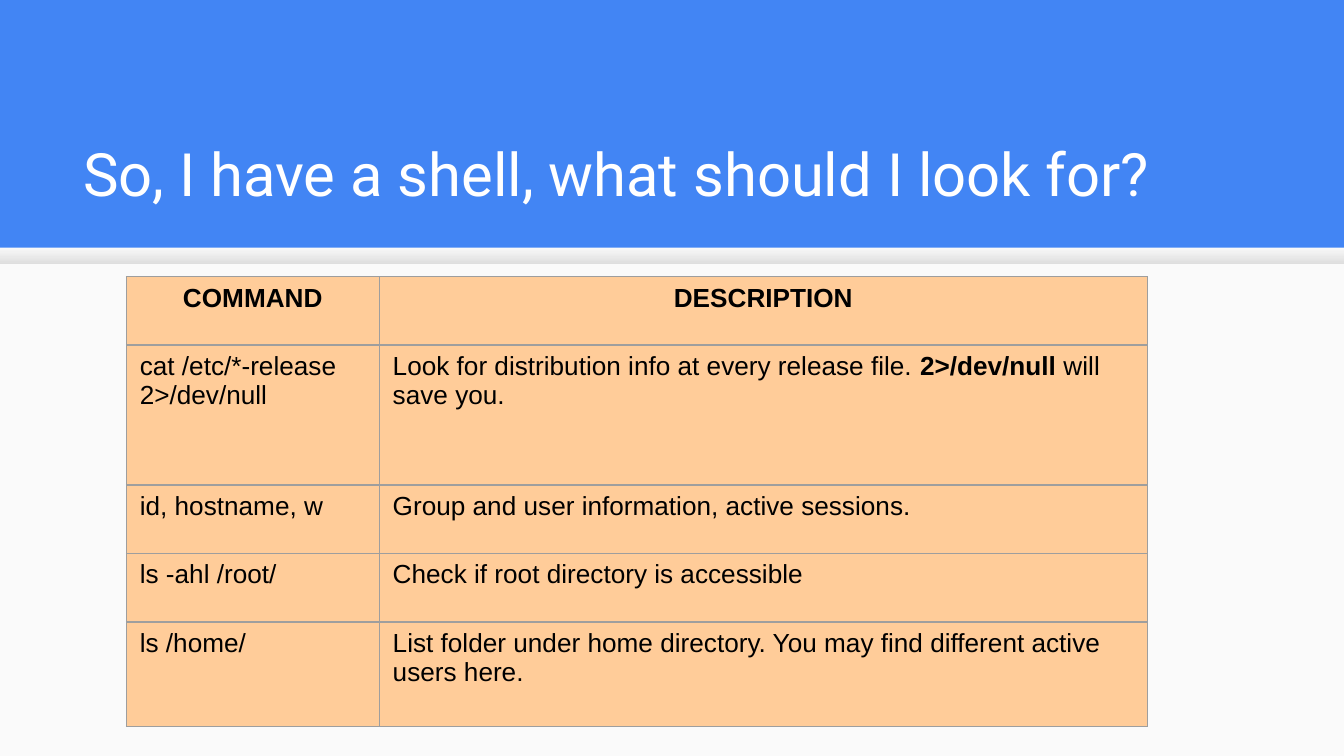
from lxml.etree import SubElement
from pptx import Presentation
from pptx.dml.color import RGBColor
from pptx.enum.shapes import MSO_SHAPE
from pptx.enum.text import MSO_ANCHOR, MSO_AUTO_SIZE, PP_ALIGN
from pptx.oxml.ns import qn
from pptx.util import Pt

BLUE = RGBColor(0x42, 0x85, 0xF4)
WHITE = RGBColor(0xFF, 0xFF, 0xFF)
BLACK = RGBColor(0, 0, 0)
PANEL = RGBColor(0xFA, 0xFA, 0xFA)
SHADE_TOP = RGBColor(0xF9, 0xF9, 0xF9)
SHADE_BOTTOM = RGBColor(0xDE, 0xDE, 0xDE)
PEACH = RGBColor(0xFF, 0xCC, 0x99)
BORDER = RGBColor(0x9E, 0x9E, 0x9E)

WIDTH, HEIGHT = 720, 405
PANEL_TOP = 132.75

# Each cell is a list of spans; every second span is bold
HEADER = ["COMMAND", "DESCRIPTION"]
COMMANDS = [
    (["cat /etc/*-release 2>/dev/null"],
     ["Look for distribution info at every release file. ", "2>/dev/null", " will save you."]),
    (["id, hostname, w"], ["Group and user information, active sessions."]),
    (["ls -ahl /root/"], ["Check if root directory is accessible"]),
    (["ls /home/"],
     ["List folder under home directory. You may find different active users here."]),
]
COLUMN_WIDTHS = [135.5, 411.5]
ROW_HEIGHTS = [36.7, 75, 36.7, 36.7, 56]


def add_band(page, top, height):
    """Add a full-width rectangle without outline or shadow."""
    band = page.shapes.add_shape(MSO_SHAPE.RECTANGLE, 0, Pt(top), Pt(WIDTH), Pt(height))
    band.shadow.inherit = False
    band.line.fill.background()
    return band


def format_span(span, font, size, color, bold=False):
    span.font.name = font
    span.font.size = Pt(size)
    span.font.color.rgb = color
    span.font.bold = bold


def set_title(page, text):
    title = page.shapes.title
    title.left, title.top, title.width, title.height = Pt(37.4), Pt(58.3), Pt(647.3), Pt(60.5)
    frame = title.text_frame
    frame.text = text
    frame.word_wrap = True
    frame.auto_size = MSO_AUTO_SIZE.NONE
    frame.vertical_anchor = MSO_ANCHOR.BOTTOM
    frame.margin_left = frame.margin_right = frame.margin_top = frame.margin_bottom = Pt(7.2)
    para = frame.paragraphs[0]
    para.alignment = PP_ALIGN.LEFT
    format_span(para.runs[0], "Roboto", 32, WHITE)


def set_borders(cell):
    properties = cell._tc.get_or_add_tcPr()
    for index, side in enumerate(("lnL", "lnR", "lnT", "lnB")):
        line = SubElement(properties, qn(f"a:{side}"), w=str(Pt(0.75)))
        fill = SubElement(line, qn("a:solidFill"))
        SubElement(fill, qn("a:srgbClr"), val=str(BORDER))
        properties.insert(index, line)  # borders come before the cell fill


def fill_cell(cell, spans, header=False):
    cell.fill.solid()
    cell.fill.fore_color.rgb = PEACH
    cell.margin_left = cell.margin_right = Pt(7.2)
    cell.margin_top = cell.margin_bottom = Pt(3.6)
    para = cell.text_frame.paragraphs[0]
    para.alignment = PP_ALIGN.CENTER if header else PP_ALIGN.LEFT
    for index, text in enumerate(spans):
        span = para.add_run()
        span.text = text
        format_span(span, "Arial", 14, BLACK, bold=header or index % 2 == 1)
    set_borders(cell)


def add_command_table(page):
    rows = [[[name] for name in HEADER], *COMMANDS]
    table = page.shapes.add_table(
        len(rows), len(HEADER), Pt(67.7), Pt(148.2),
        Pt(sum(COLUMN_WIDTHS)), Pt(sum(ROW_HEIGHTS))).table
    for column, width in zip(table.columns, COLUMN_WIDTHS):
        column.width = Pt(width)
    for row, height in zip(table.rows, ROW_HEIGHTS):
        row.height = Pt(height)
    for row_index, row in enumerate(rows):
        for column_index, spans in enumerate(row):
            fill_cell(table.cell(row_index, column_index), spans, header=row_index == 0)


def main():
    deck = Presentation()
    deck.slide_width, deck.slide_height = Pt(WIDTH), Pt(HEIGHT)
    page = deck.slides.add_slide(deck.slide_layouts[5])

    # Blue background with a light panel below the title
    page.background.fill.solid()
    page.background.fill.fore_color.rgb = BLUE
    panel = add_band(page, PANEL_TOP, HEIGHT - PANEL_TOP)
    panel.fill.solid()
    panel.fill.fore_color.rgb = PANEL

    # Soft shade along the panel's top edge
    shade = add_band(page, PANEL_TOP, 8.6)
    shade.fill.gradient()
    shade.fill.gradient_angle = 270
    for stop, color in zip(shade.fill.gradient_stops, (SHADE_TOP, SHADE_BOTTOM)):
        stop.color.rgb = color

    # Content
    set_title(page, "So, I have a shell, what should I look for?")
    add_command_table(page)
    deck.save("out.pptx")


if __name__ == "__main__":
    main()
